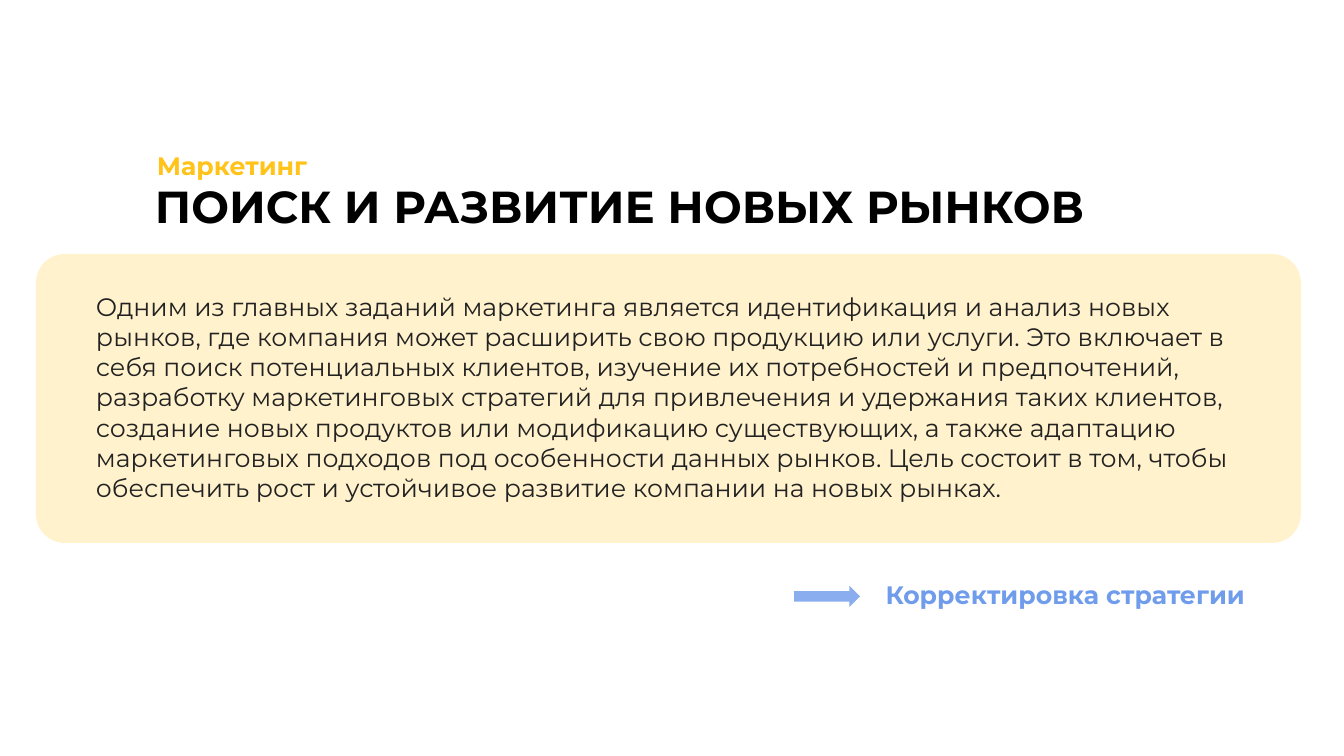
"""Build a slide about finding and developing new markets."""
import pptx
import pptx.dml.color
import pptx.enum.shapes
import pptx.enum.text
import pptx.util

FONT = "Montserrat"
COLORS = {"title": "000000", "tag": "FFC319", "body": "222222",
          "link": "709CEC", "panel": "FFF2CD", "arrow": "89ADEF"}
KIND = pptx.enum.shapes.MSO_SHAPE
ALIGN = pptx.enum.text.PP_ALIGN
ANCHOR = pptx.enum.text.MSO_ANCHOR

BODY = (
    "Одним из главных заданий маркетинга является идентификация и анализ новых "
    "рынков, где компания может расширить свою продукцию или услуги. Это включает в "
    "себя поиск потенциальных клиентов, изучение их потребностей и предпочтений, "
    "разработку маркетинговых стратегий для привлечения и удержания таких клиентов, "
    "создание новых продуктов или модификацию существующих, а также адаптацию "
    "маркетинговых подходов под особенности данных рынков. Цель состоит в том, чтобы "
    "обеспечить рост и устойчивое развитие компании на новых рынках."
)
SHAPES = [
    ("panel", KIND.ROUNDED_RECTANGLE, (36, 254, 1265, 289), [0.1]),
    ("arrow", KIND.RIGHT_ARROW, (794, 586, 66, 21), [0.5, 0.5]),
]
HEADS = [
    ("title", "ПОИСК И РАЗВИТИЕ НОВЫХ РЫНКОВ", (145, 167, 1051, 85), 32, ALIGN.LEFT),
    ("tag", "Маркетинг", (147, 147, 526, 40), 18, ALIGN.LEFT),
    ("link", "Корректировка стратегии", (868, 569, 387, 54), 18, ALIGN.RIGHT),
]
BODY_BOX = (86, 286, 1174, 224)


def px(n):
    return pptx.util.Emu(round(n * 914400 / 100.8))


def color(role):
    return pptx.dml.color.RGBColor.from_string(COLORS[role])


def add_shape(slide, role, kind, box, adjust):
    shape = slide.shapes.add_shape(kind, *map(px, box))
    shape.shadow.inherit = False
    shape.fill.solid()
    shape.fill.fore_color.rgb = color(role)
    shape.line.fill.background()
    for i, value in enumerate(adjust):
        shape.adjustments[i] = value


def add_text(slide, role, text, box, size, align=ALIGN.LEFT, head=True):
    frame = slide.shapes.add_textbox(*map(px, box)).text_frame
    frame.word_wrap = True
    frame.margin_left = frame.margin_right = px(10)
    frame.margin_top = frame.margin_bottom = px(10 if head else 5)
    frame.vertical_anchor = ANCHOR.MIDDLE if head else ANCHOR.TOP
    para = frame.paragraphs[0]
    para.alignment = align
    para.line_spacing = 0.9 if head else 1.0
    run = para.add_run()
    run.text = text
    run.font.name = FONT
    run.font.size = pptx.util.Pt(size)
    run.font.bold = head
    run.font.color.rgb = color(role)


def main():
    deck = pptx.Presentation()
    deck.slide_width, deck.slide_height = px(1344), px(756)
    slide = deck.slides.add_slide(deck.slide_layouts[6])
    for item in SHAPES:
        add_shape(slide, *item)
    for item in HEADS:
        add_text(slide, *item)
    add_text(slide, "body", BODY, BODY_BOX, 18, head=False)
    deck.save("out.pptx")


if __name__ == "__main__":
    main()
